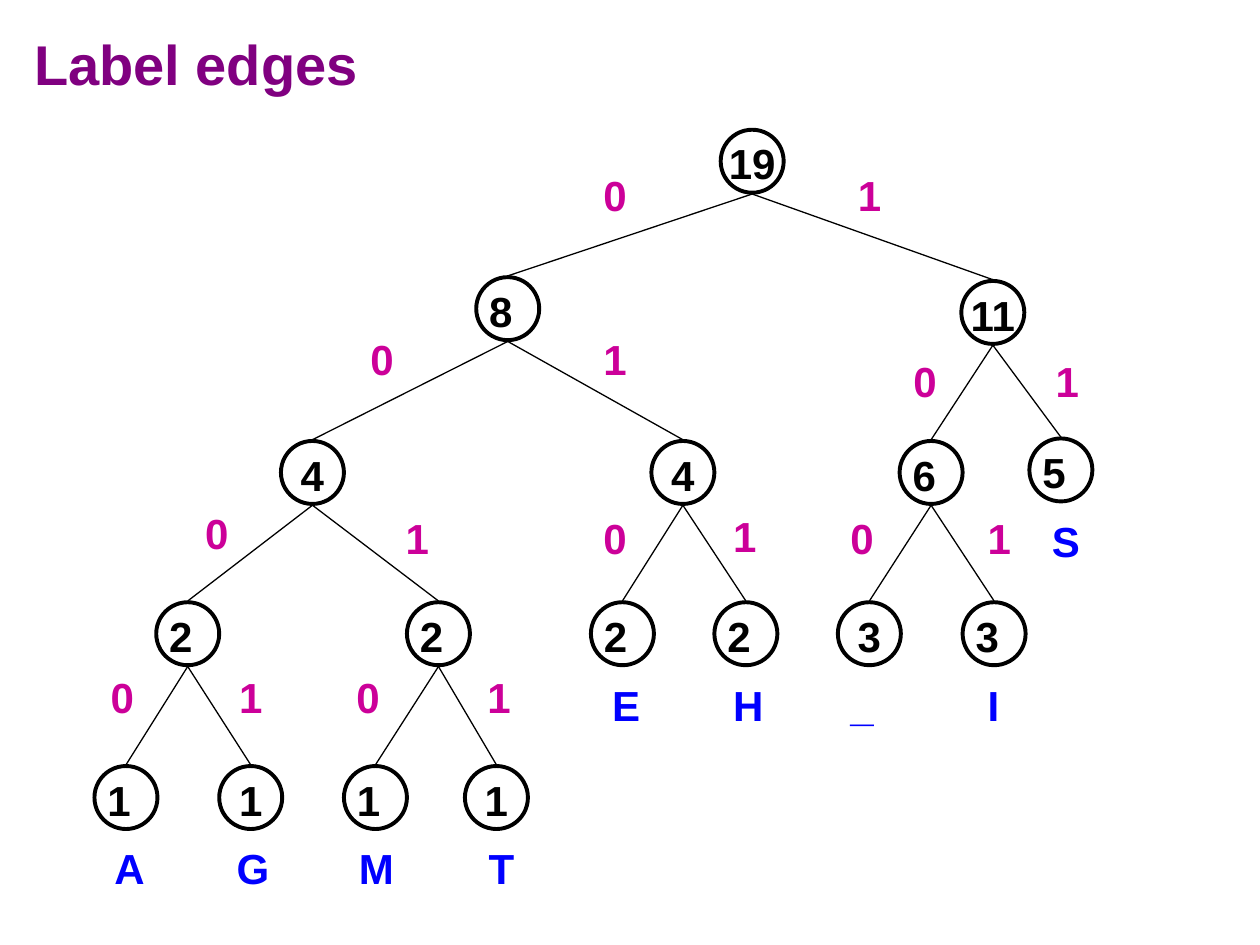
"""Build a slide showing a Huffman tree with labelled edges."""
from dataclasses import dataclass

from lxml import etree
from pptx import Presentation
from pptx.dml.color import RGBColor
from pptx.enum.shapes import MSO_CONNECTOR, MSO_SHAPE
from pptx.enum.text import MSO_ANCHOR, PP_ALIGN
from pptx.oxml.ns import qn
from pptx.slide import Slide
from pptx.text.text import TextFrame
from pptx.util import Inches, Pt

STRAIGHT = MSO_CONNECTOR.STRAIGHT
OVAL = MSO_SHAPE.OVAL
MIDDLE, TOP = MSO_ANCHOR.MIDDLE, MSO_ANCHOR.TOP
LEFT, CENTER = PP_ALIGN.LEFT, PP_ALIGN.CENTER

BLACK = RGBColor(0x00, 0x00, 0x00)
BLUE = RGBColor(0x00, 0x00, 0xFF)
MAGENTA = RGBColor(0xCC, 0x00, 0x99)
PURPLE = RGBColor(0x80, 0x00, 0x80)

FONT = "Arial"
DIAMETER = 0.5
RADIUS = DIAMETER / 2
EDGE_GAP = 0.01
LETTER_DROP = 0.56
LABEL_WIDTH = 0.42
LABEL_HEIGHT = 0.5


@dataclass(frozen=True)
class Letter:
    text: str
    left: float


@dataclass(frozen=True)
class Node:
    count: int
    left: float
    top: float
    bit_at: tuple[float, float] | None = None
    align: PP_ALIGN = LEFT
    letter: Letter | None = None
    children: tuple["Node", ...] = ()


FOUR_LEFT = Node(4, 2.23, 3.5, (2.84, 2.6), CENTER, children=(
    Node(2, 1.24, 4.78, (1.53, 3.98), children=(
        Node(1, 0.75, 6.08, (0.78, 5.28), letter=Letter("A", 0.81)),
        Node(1, 1.74, 6.08, (1.8, 5.28), CENTER, Letter("G", 1.78)),
    )),
    Node(2, 3.23, 4.78, (3.12, 4.02), children=(
        Node(1, 2.73, 6.08, (2.73, 5.28), letter=Letter("M", 2.75)),
        Node(1, 3.69, 6.08, (3.77, 5.28), CENTER, Letter("T", 3.78)),
    )),
))
FOUR_RIGHT = Node(4, 5.17, 3.5, (4.69, 2.6), CENTER, children=(
    Node(2, 4.69, 4.78, (4.69, 4.02), letter=Letter("E", 4.76)),
    Node(2, 5.67, 4.78, (5.72, 4), letter=Letter("H", 5.72)),
))
SIX = Node(6, 7.14, 3.5, (7.15, 2.77), children=(
    Node(3, 6.65, 4.78, (6.65, 4.02), CENTER, Letter("_", 6.65)),
    Node(3, 7.64, 4.78, (7.74, 4.02), letter=Letter("I", 7.74)),
))
FIVE = Node(5, 8.17, 3.48, (8.28, 2.77), letter=Letter("S", 8.25))
ROOT = Node(19, 5.72, 1.03, align=CENTER, children=(
    Node(8, 3.78, 2.2, (4.69, 1.3), children=(FOUR_LEFT, FOUR_RIGHT)),
    Node(11, 7.63, 2.23, (6.71, 1.3), CENTER, children=(SIX, FIVE)),
))


def write(frame: TextFrame, text: str, color: RGBColor, size: int = 24,
          align: PP_ALIGN = LEFT, anchor: MSO_ANCHOR = TOP) -> None:
    """Put one bold paragraph into a text frame."""
    frame.text = text
    frame.vertical_anchor = anchor
    para = frame.paragraphs[0]
    para.alignment = align
    para.font.name = FONT
    para.font.size = Pt(size)
    para.font.bold = True
    para.font.color.rgb = color


def draw_label(page: Slide, text: str, left: float, top: float, color: RGBColor) -> None:
    """Draw a bit or a letter as free text."""
    box = page.shapes.add_textbox(Inches(left), Inches(top), Inches(LABEL_WIDTH), Inches(LABEL_HEIGHT))
    box.text_frame.word_wrap = True
    write(box.text_frame, text, color)


def draw_edge(page: Slide, parent: Node, child: Node) -> None:
    """Join the foot of the parent to the head of the child."""
    edge = page.shapes.add_connector(
        STRAIGHT,
        Inches(parent.left + RADIUS), Inches(parent.top + DIAMETER + EDGE_GAP),
        Inches(child.left + RADIUS), Inches(child.top - EDGE_GAP),
    )
    edge.line.color.rgb = BLACK
    edge.line.width = Pt(0.75)
    etree.SubElement(edge._element.spPr, qn("a:effectLst"))


def draw_circle(page: Slide, node: Node) -> None:
    """Draw the circle that holds a node's count."""
    circle = page.shapes.add_shape(
        OVAL, Inches(node.left), Inches(node.top), Inches(DIAMETER), Inches(DIAMETER))
    circle.shadow.inherit = False
    circle.fill.background()
    circle.line.color.rgb = BLACK
    circle.line.width = Pt(2.25)
    frame = circle.text_frame
    frame.word_wrap = False
    frame.margin_left = frame.margin_right = Inches(0.03)
    frame.margin_top, frame.margin_bottom = Inches(0.03), 0
    write(frame, str(node.count), BLACK, align=node.align, anchor=MIDDLE)


def draw_tree(page: Slide, node: Node) -> None:
    """Draw a node, its letter and every branch below it."""
    for bit, child in enumerate(node.children):
        draw_edge(page, node, child)
        draw_label(page, str(bit), *child.bit_at, MAGENTA)
        draw_tree(page, child)
    draw_circle(page, node)
    if node.letter:
        draw_label(page, node.letter.text, node.letter.left, node.top + LETTER_DROP, BLUE)


def main() -> None:
    """Create the deck and save it."""
    deck = Presentation()
    deck.slide_width, deck.slide_height = Inches(10), Inches(7.5)
    page = deck.slides.add_slide(deck.slide_layouts[5])
    title = page.shapes.title
    title.left, title.top = Inches(0.17), Inches(0.04)
    title.width, title.height = Inches(9.67), Inches(0.92)
    write(title.text_frame, "Label edges", PURPLE, size=32, anchor=MIDDLE)
    draw_tree(page, ROOT)
    deck.save("out.pptx")


if __name__ == "__main__":
    main()
